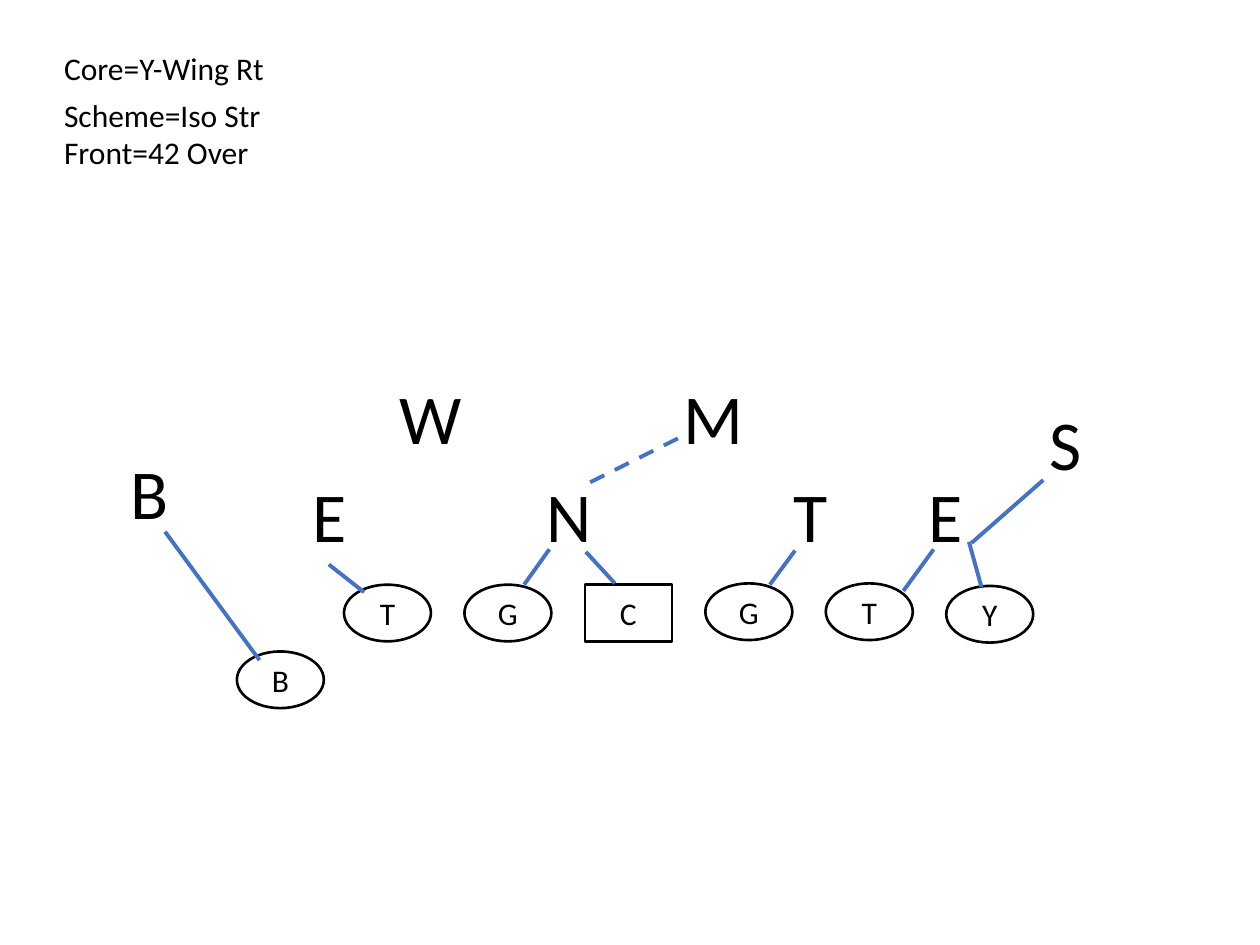
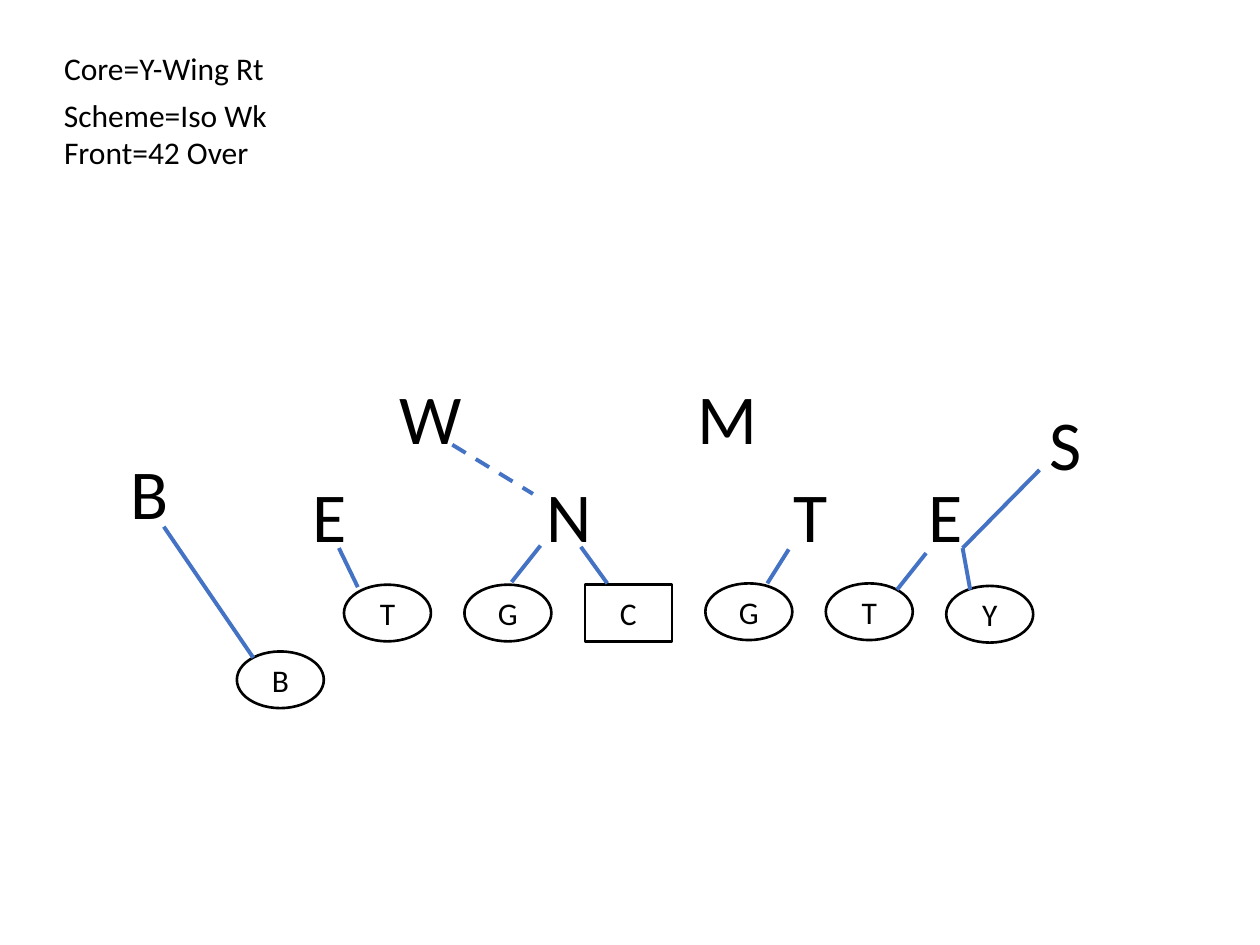
from dataclasses import dataclass

from pptx import Presentation
from pptx.dml.color import RGBColor
from pptx.enum.dml import MSO_LINE
from pptx.enum.shapes import MSO_CONNECTOR, MSO_SHAPE
from pptx.enum.text import MSO_ANCHOR, MSO_AUTO_SIZE, PP_ALIGN
from pptx.oxml.ns import qn
from pptx.util import Inches, Pt
from lxml.etree import SubElement


@dataclass(frozen=True)
class Theme:
    """Colours, font, type sizes and line widths of the playbook."""
    ink: RGBColor = RGBColor(0x00, 0x00, 0x00)
    paper: RGBColor = RGBColor(0xFF, 0xFF, 0xFF)
    block: RGBColor = RGBColor(0x44, 0x72, 0xC4)
    font: str = "Calibri"
    label_size: int = 18
    defender_size: int = 40
    outline: float = 1.5
    block_width: float = 2.25


THEME = Theme()

# Offensive line, evenly spaced from left tackle to tight end: letter, top
LINEMEN = [("T", 4.64), ("G", 4.64), ("C", 4.64),
           ("G", 4.63), ("T", 4.63), ("Y", 4.65)]
LINE_LEFT, LINE_RIGHT = 2.73, 7.51
WING_BACK = ("B", 1.88, 5.17)
PLAYER_SIZE = (0.69, 0.45)

# Defenders who stand in the same place in every play: letter, left, top, width
FRONT_TOP, LINEBACKER_TOP = 3.7, 2.92
DEFENDERS = [
    ("N", 4.24, FRONT_TOP, 0.56), ("T", 6.2, FRONT_TOP, 0.48),
    ("E", 7.27, FRONT_TOP, 0.48), ("E", 2.38, FRONT_TOP, 0.48),
    ("W", 3.07, LINEBACKER_TOP, 0.7),
    ("S", 8.23, 3.13, 0.48), ("B", 0.94, 3.52, 0.51),
]
DEFENDER_HEIGHT = 0.77
MIKE_WIDTH = 0.7

LABEL_LEFT, LABEL_HEIGHT = 0.41, 0.4


@dataclass(frozen=True)
class Play:
    """What changes from one play to the next."""
    scheme: str
    scheme_width: float
    mike_left: float
    blocks: tuple       # x1, y1, x2, y2 of each solid line
    combo: tuple        # x1, y1, x2, y2 of the dashed line


PLAYS = [
    Play("Iso Str", 1.78, 5.33,
         blocks=((1.31, 4.22, 2.06, 5.24), (2.61, 4.48, 2.89, 4.7),
                 (4.36, 4.36, 4.16, 4.64), (4.65, 4.38, 4.88, 4.63),
                 (6.31, 4.37, 6.11, 4.64), (7.41, 4.36, 7.17, 4.69),
                 (7.69, 4.3, 7.79, 4.66), (7.71, 4.31, 8.28, 3.81)),
         combo=(5.38, 3.48, 4.62, 3.86)),
    Play("Iso Wk", 1.83, 5.44,
         blocks=((1.3, 4.18, 2.01, 5.22), (2.69, 4.35, 2.84, 4.66),
                 (4.29, 4.33, 4.06, 4.62), (4.61, 4.34, 4.82, 4.63),
                 (6.26, 4.36, 6.09, 4.63), (7.35, 4.39, 7.12, 4.68),
                 (7.64, 4.35, 7.7, 4.68), (7.64, 4.35, 8.25, 3.73)),
         combo=(3.59, 3.53, 4.23, 3.92)),
]


def write_text(frame, text, *, size, align=PP_ALIGN.LEFT, anchor=MSO_ANCHOR.TOP):
    """Put one formatted paragraph into a text frame."""
    frame.vertical_anchor = anchor
    paragraph = frame.paragraphs[0]
    paragraph.alignment = align
    run = paragraph.add_run()
    run.text = text
    run.font.name = THEME.font
    run.font.size = Pt(size)
    run.font.color.rgb = THEME.ink


def add_label(slide, text, left, top, width, height, size):
    """Add an unwrapped text box that fits its text."""
    frame = slide.shapes.add_textbox(
        Inches(left), Inches(top), Inches(width), Inches(height)).text_frame
    frame.word_wrap = False
    frame.auto_size = MSO_AUTO_SIZE.SHAPE_TO_FIT_TEXT
    write_text(frame, text, size=size)


def add_player(slide, letter, left, top):
    """Add an offensive player: a box for the center, an oval for the rest."""
    outline = MSO_SHAPE.RECTANGLE if letter == "C" else MSO_SHAPE.OVAL
    width, height = PLAYER_SIZE
    player = slide.shapes.add_shape(
        outline, Inches(left), Inches(top), Inches(width), Inches(height))
    player.shadow.inherit = False
    player.fill.solid()
    player.fill.fore_color.rgb = THEME.paper
    player.line.color.rgb = THEME.ink
    player.line.width = Pt(THEME.outline)
    write_text(player.text_frame, letter, size=THEME.label_size,
               align=PP_ALIGN.CENTER, anchor=MSO_ANCHOR.MIDDLE)


def add_block(slide, ends, dashed=False):
    """Draw a blocking assignment as a straight line."""
    block = slide.shapes.add_connector(
        MSO_CONNECTOR.STRAIGHT, *(Inches(value) for value in ends))
    block.line.color.rgb = THEME.block
    block.line.width = Pt(THEME.block_width)
    if dashed:
        block.line.dash_style = MSO_LINE.DASH
    SubElement(block._element.spPr, qn("a:effectLst"))


def add_call(slide, play):
    """List the core, scheme and front of the play at the top left."""
    calls = [("Core=Y-Wing Rt", 0.34, 1.82),
             (f"Scheme={play.scheme}", 0.71, play.scheme_width),
             ("Front=42 Over", 1.01, 1.68)]
    for text, top, width in calls:
        add_label(slide, text, LABEL_LEFT, top, width, LABEL_HEIGHT,
                  THEME.label_size)


def add_offense(slide):
    """Place the offensive line at equal steps, and the wing back."""
    step = (LINE_RIGHT - LINE_LEFT) / (len(LINEMEN) - 1)
    for index, (letter, top) in enumerate(LINEMEN):
        add_player(slide, letter, LINE_LEFT + index * step, top)
    add_player(slide, *WING_BACK)


def add_defense(slide, mike_left):
    """Place the defenders, with the middle linebacker where the play has him."""
    mike = ("M", mike_left, LINEBACKER_TOP, MIKE_WIDTH)
    for letter, left, top, width in DEFENDERS + [mike]:
        add_label(slide, letter, left, top, width, DEFENDER_HEIGHT,
                  THEME.defender_size)


def add_play(deck, play):
    """Build the slide of one play."""
    slide = deck.slides.add_slide(deck.slide_layouts.get_by_name("Blank"))
    add_call(slide, play)
    add_offense(slide)
    add_defense(slide, play.mike_left)
    for ends in play.blocks:
        add_block(slide, ends)
    add_block(slide, play.combo, dashed=True)


def main():
    """Build the playbook and save it."""
    deck = Presentation()
    deck.slide_width, deck.slide_height = Inches(10), Inches(7.5)
    for play in PLAYS:
        add_play(deck, play)
    deck.save("out.pptx")


main()
